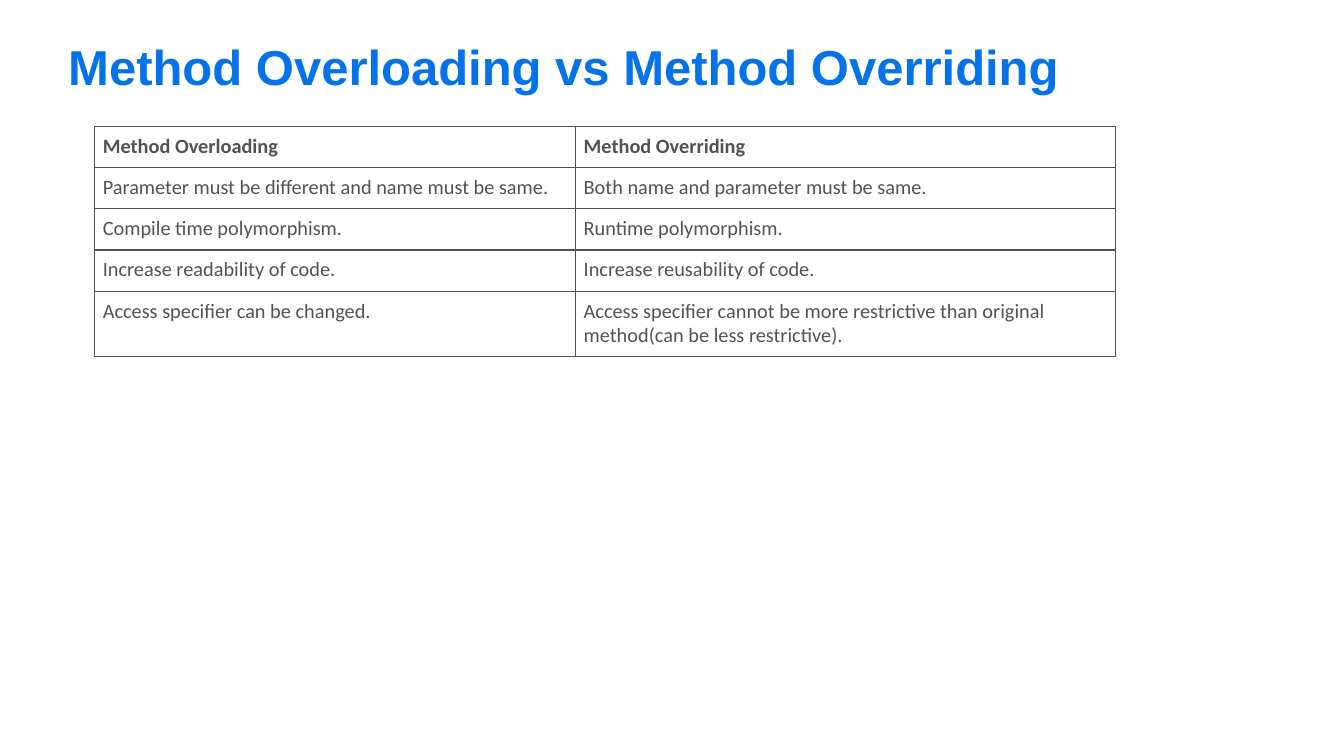
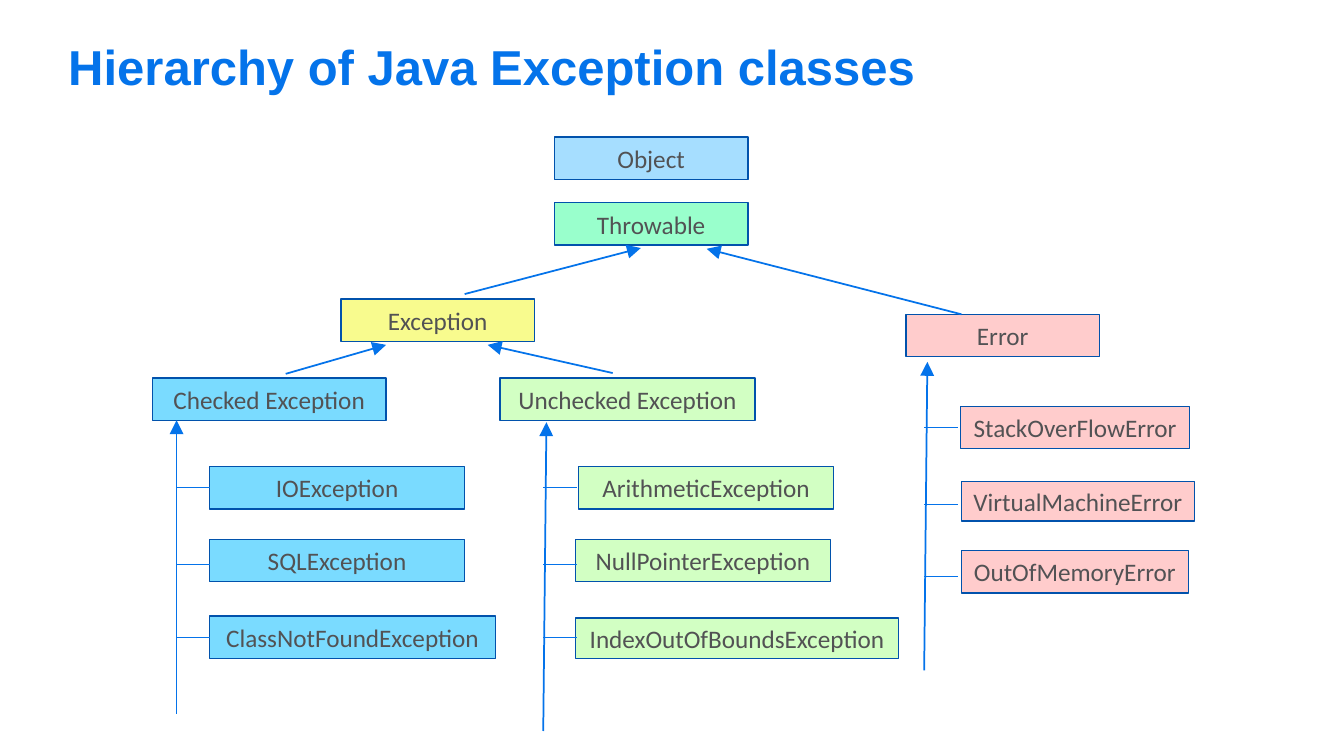
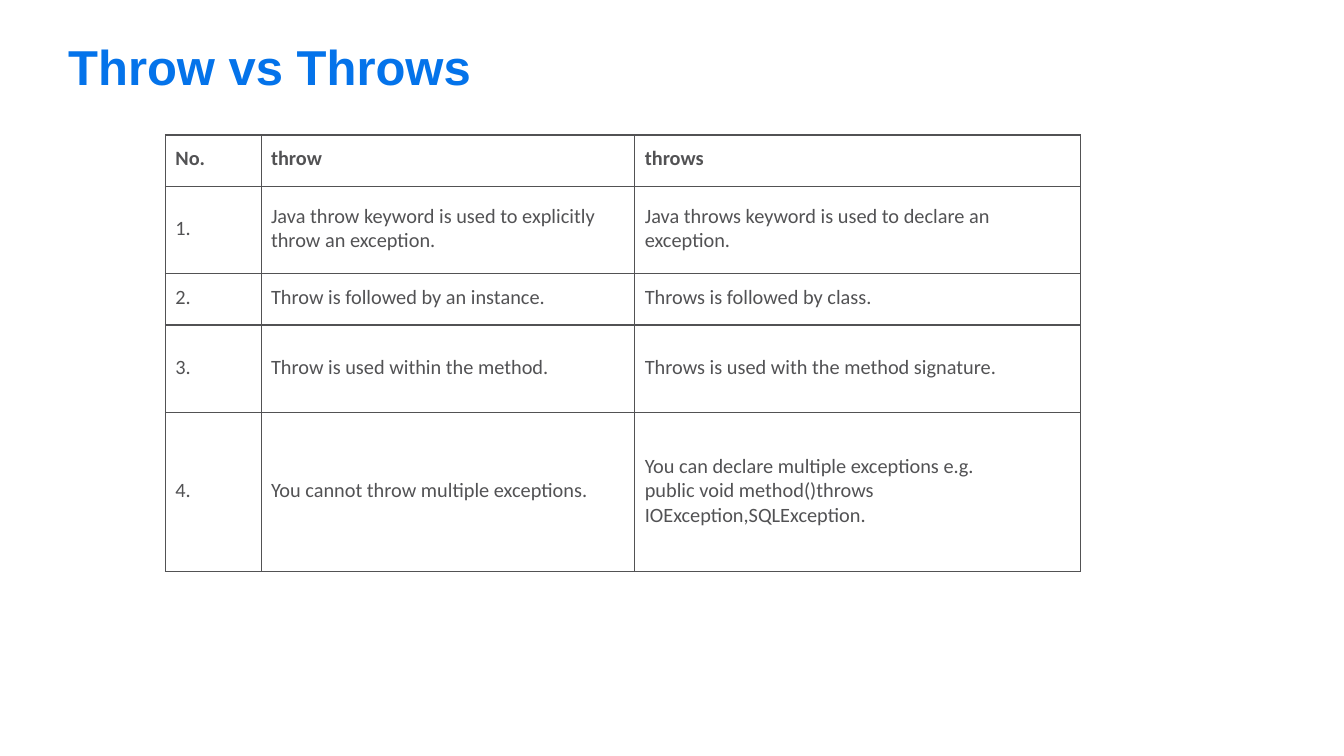
import pptx
import pptx.dml.color
import pptx.enum.shapes
import pptx.enum.text
import pptx.oxml
import pptx.oxml.ns
import pptx.util

Cm = pptx.util.Cm
Pt = pptx.util.Pt
Align = pptx.enum.text.PP_ALIGN
Anchor = pptx.enum.text.MSO_ANCHOR


def color(value):
    return pptx.dml.color.RGBColor.from_string(value)


def element(tag, content="", **attributes):
    namespace = pptx.oxml.ns.nsdecls("a")
    settings = " ".join(f'{name}="{value}"' for name, value in attributes.items())
    return pptx.oxml.parse_xml(f"<a:{tag} {namespace} {settings}>{content}</a:{tag}>")


def write(frame, text, font="Calibri", size=18, ink="525254", bold=False,
          align=Align.LEFT):
    """Fill a text frame, with one paragraph for each line of text."""
    frame.word_wrap = True
    for index, line in enumerate(text.split("\n")):
        paragraph = frame.add_paragraph() if index else frame.paragraphs[0]
        paragraph.alignment = align
        run = paragraph.add_run()
        run.text = line
        run.font.name = font
        run.font.size = Pt(size)
        run.font.bold = bold
        run.font.color.rgb = color(ink)


def set_margins(target, left=0, top=0, right=0, bottom=0):
    target.margin_left, target.margin_top = Cm(left), Cm(top)
    target.margin_right, target.margin_bottom = Cm(right), Cm(bottom)


class Deck:
    accent = "0473EA"
    outline = "0152AC"
    ink = "525254"

    def __init__(self):
        self.presentation = pptx.Presentation()
        self.presentation.slide_width = Cm(33.87)
        self.presentation.slide_height = Cm(19.05)
        self.slide = None

    def add_slide(self, title):
        layout = self.presentation.slide_layouts[6]
        self.slide = self.presentation.slides.add_slide(layout)
        box = self.slide.shapes.add_textbox(Cm(1.72), Cm(0.91), Cm(26.4), Cm(1.55))
        set_margins(box.text_frame)
        write(box.text_frame, title, font="Arial", size=35, ink=self.accent, bold=True)

    def add_table(self, x, y, widths, heights, rows, anchor, **margins):
        frame = self.slide.shapes.add_table(
            len(rows), len(widths), Cm(x), Cm(y), Cm(sum(widths)), Cm(sum(heights)))
        table = frame.table
        table.first_row = table.horz_banding = False
        for column, width in zip(table.columns, widths):
            column.width = Cm(width)
        for index, (row, height, texts) in enumerate(zip(table.rows, heights, rows)):
            row.height = Cm(height)
            for cell, text in zip(row.cells, texts):
                self.add_borders(cell)
                cell.fill.background()
                cell.vertical_anchor = anchor
                set_margins(cell, **margins)
                write(cell.text_frame, text, size=14.5, ink=self.ink, bold=index == 0)

    def add_borders(self, cell):
        properties = cell._tc.get_or_add_tcPr()
        fill = f'<a:solidFill><a:srgbClr val="{self.ink}"/></a:solidFill>'
        for side in "LRTB":
            properties.append(element("ln" + side, fill, w=int(Pt(1))))

    def add_box(self, text, fill, left, top, width=4.88, height=1.07):
        shape = self.slide.shapes.add_shape(
            pptx.enum.shapes.MSO_SHAPE.RECTANGLE, Cm(left), Cm(top), Cm(width), Cm(height))
        shape.shadow.inherit = False
        shape.fill.solid()
        shape.fill.fore_color.rgb = color(fill)
        shape.line.color.rgb = color(self.outline)
        shape.line.width = Pt(1)
        set_margins(shape.text_frame)
        shape.text_frame.vertical_anchor = Anchor.MIDDLE
        write(shape.text_frame, text, ink=self.ink, align=Align.CENTER)

    def add_line(self, start, end, width=0.5, arrow=False):
        connector = self.slide.shapes.add_connector(
            pptx.enum.shapes.MSO_CONNECTOR.STRAIGHT, *map(Cm, start + end))
        connector.line.color.rgb = color(self.accent)
        connector.line.width = Pt(width)
        if arrow:
            connector.line._get_or_add_ln().append(
                element("tailEnd", type="triangle", w="lg", len="lg"))
        connector._element.spPr.append(element("effectLst"))

    def add_arrow(self, start, end):
        self.add_line(start, end, width=1.25, arrow=True)


def add_overloading_slide(deck):
    deck.add_slide("Method Overloading vs Method Overriding")
    rows = [
        ("Method Overloading", "Method Overriding"),
        ("Parameter must be different and name must be same.",
         "Both name and parameter must be same."),
        ("Compile time polymorphism.", "Runtime polymorphism."),
        ("Increase readability of code.", "Increase reusability of code."),
        ("Access specifier can be changed.",
         "Access specifier cannot be more restrictive than original "
         "method(can be less restrictive)."),
    ]
    deck.add_table(2.39, 3.18, [12.12, 13.61], [1.04] * 4 + [1.65], rows,
                   Anchor.TOP, left=0.2, top=0.19)


def add_hierarchy_slide(deck):
    deck.add_slide("Hierarchy of Java Exception classes")
    checked, unchecked, error = "7ADBFF", "D2FFC3", "FFCCCC"

    # Classes: text, fill, left, top, then width and height where they differ
    boxes = [
        ("Object", "A6DEFF", 13.97, 3.45),
        ("Throwable", "99FFCC", 13.97, 5.11),
        ("Exception", "F8FB8E", 8.59, 7.54),
        ("Error", error, 22.83, 7.92),
        ("Checked Exception", checked, 3.84, 9.53, 5.89),
        ("Unchecked Exception", unchecked, 12.6, 9.53, 6.43),
        ("IOException", checked, 5.28, 11.76, 6.43),
        ("SQLException", checked, 5.28, 13.59, 6.43),
        ("ClassNotFoundException", checked, 5.28, 15.52, 7.21),
        ("ArithmeticException", unchecked, 14.58, 11.76, 6.43),
        ("NullPointerException", unchecked, 14.5, 13.59, 6.43),
        ("IndexOutOfBoundsException", unchecked, 14.5, 15.57, 8.15, 1.02),
        ("StackOverFlowError", error, 24.21, 10.24, 5.77),
        ("VirtualMachineError", error, 24.23, 12.14, 5.87, 0.99),
        ("OutOfMemoryError", error, 24.23, 13.87, 5.72),
    ]
    for box in boxes:
        deck.add_box(*box)

    # Arrows from each class to its parent
    arrows = [
        ((11.71, 7.41), (16.15, 6.25)),
        ((24.23, 7.92), (17.81, 6.27)),
        ((7.2, 9.42), (9.73, 8.69)),
        ((15.44, 9.4), (12.29, 8.69)),
    ]
    for start, end in arrows:
        deck.add_arrow(start, end)

    # Trunks with three branches each
    trunks = [
        ((4.45, 17.98), (4.45, 10.59), 12.28),
        ((13.69, 18.42), (13.77, 10.64), 12.28),
        ((23.29, 16.89), (23.37, 9.12), 10.76),
    ]
    for start, end, first_branch in trunks:
        deck.add_arrow(start, end)
        for offset in (0, 1.94, 3.77):
            y = first_branch + offset
            deck.add_line((start[0], y), (start[0] + 0.85, y))


def add_throw_slide(deck):
    deck.add_slide("Throw vs Throws")
    rows = [
        ("No.", "throw", "throws"),
        ("1.", "Java throw keyword is used to explicitly\nthrow an exception.",
         "Java throws keyword is used to declare an\nexception."),
        ("2.", "Throw is followed by an instance.", "Throws is followed by class."),
        ("3.", "Throw is used within the method.",
         "Throws is used with the method signature."),
        ("4.", "You cannot throw multiple exceptions.",
         "You can declare multiple exceptions e.g.\n"
         "public void method()throws\nIOException,SQLException."),
    ]
    deck.add_table(4.17, 3.4, [2.41, 9.42, 11.23], [1.29, 2.21, 1.29, 2.21, 4.01],
                   rows, Anchor.MIDDLE, left=0.25, bottom=0.08)


def main():
    deck = Deck()
    add_overloading_slide(deck)
    add_hierarchy_slide(deck)
    add_throw_slide(deck)
    deck.presentation.save("out.pptx")


if __name__ == "__main__":
    main()
